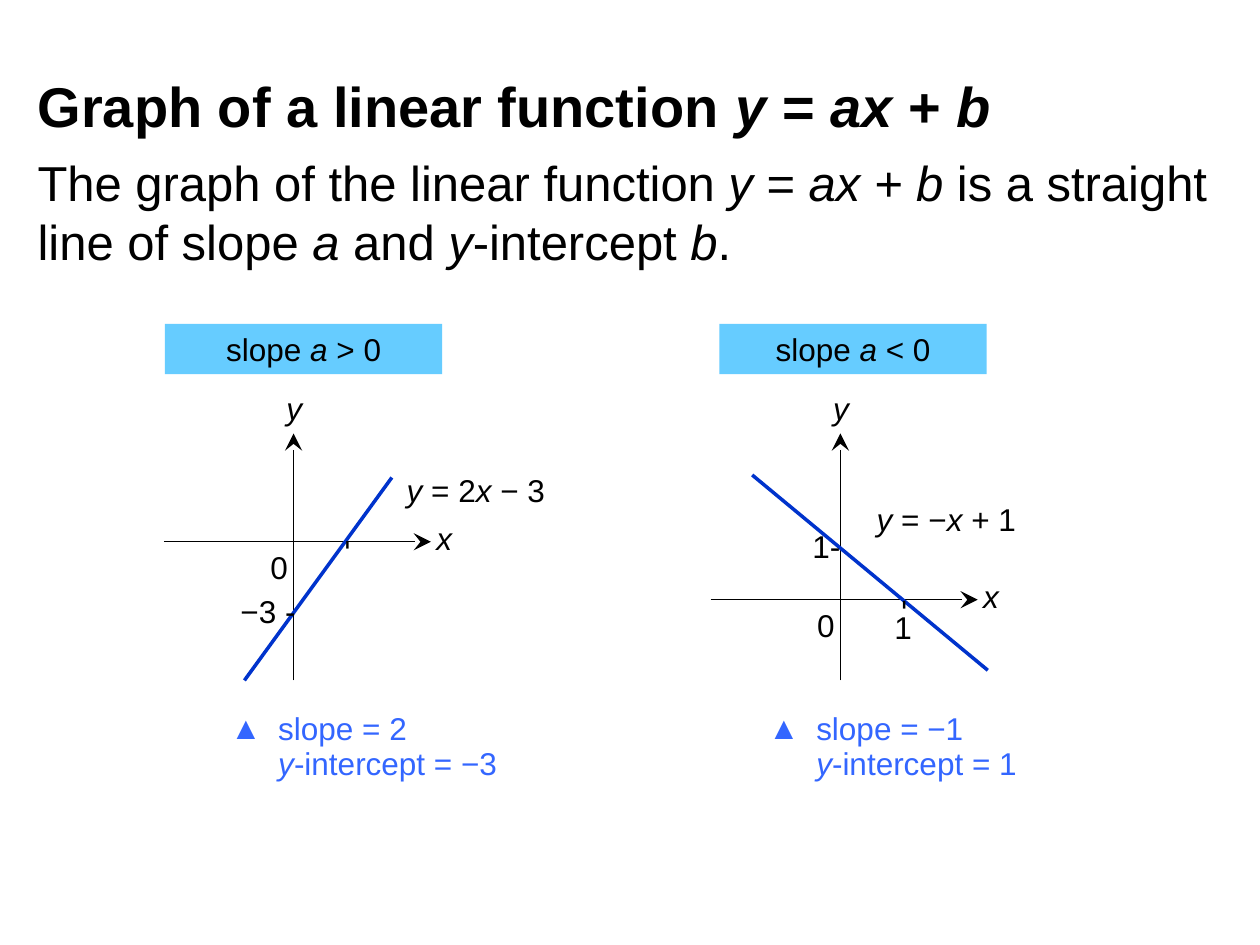
from lxml import etree
from pptx import Presentation
from pptx.dml.color import RGBColor
from pptx.enum import shapes, text
from pptx.oxml.ns import qn
from pptx.util import Inches, Pt

BLACK = RGBColor(0x00, 0x00, 0x00)
SKY = RGBColor(0x66, 0xCC, 0xFF)
GRAPH_BLUE = RGBColor(0x00, 0x33, 0xCC)
CAPTION_BLUE = RGBColor(0x33, 0x66, 0xFF)
FONT = "Arial"
LEFT, CENTER = text.PP_ALIGN.LEFT, text.PP_ALIGN.CENTER
LINE_HEIGHT = 0.4
AXIS_TOP, AXIS_BOTTOM = 3.44, 5.4
CAPTION_TOP, CAPTION_INDENT = 5.58, 0.38


def write(p, marked, size=18, color=BLACK, bold=False, align=LEFT):
    """Fill a paragraph; parts between asterisks are italic."""
    p.alignment = align
    for i, part in enumerate(marked.split("*")):
        if part:
            r = p.add_run()
            r.text = part
            r.font.name, r.font.size = FONT, Pt(size)
            r.font.bold, r.font.italic = bold, i % 2 == 1
            r.font.color.rgb = color


def add_text(slide, x, y, w, marked, h=LINE_HEIGHT, **style):
    sp = slide.shapes.add_textbox(Inches(x), Inches(y), Inches(w), Inches(h))
    sp.text_frame.word_wrap = True
    write(sp.text_frame.paragraphs[0], marked, **style)
    return sp


def add_heading(slide, x, w, marked):
    sp = slide.shapes.add_shape(shapes.MSO_SHAPE.RECTANGLE, Inches(x),
                                Inches(2.57), Inches(w), Inches(LINE_HEIGHT))
    sp.shadow.inherit = False
    sp.fill.solid()
    sp.fill.fore_color.rgb = SKY
    sp.line.fill.background()
    tf = sp.text_frame
    tf.word_wrap = True
    tf.vertical_anchor = text.MSO_ANCHOR.MIDDLE
    write(tf.paragraphs[0], marked, align=CENTER)


def add_line(slide, start, end, color, width, arrow=False):
    line = slide.shapes.add_connector(shapes.MSO_CONNECTOR.STRAIGHT,
                                      *map(Inches, start + end))
    line.line.color.rgb = color
    line.line.width = Pt(width)
    if arrow:
        ln = line.line._get_or_add_ln()
        etree.SubElement(ln, qn("a:tailEnd"), type="stealth", w="lg", len="lg")
    etree.SubElement(line._element.spPr, qn("a:effectLst"))


def add_tick(slide, x, y):
    """Mark the x-axis with an upright hyphen."""
    add_text(slide, x, y, 0.33, "-").rotation = 270


def add_axes(slide, x0, y0):
    add_line(slide, (x0, AXIS_BOTTOM), (x0, AXIS_TOP), BLACK, 0.75, arrow=True)
    add_line(slide, (x0 - 1.03, y0), (x0 + 1.09, y0), BLACK, 0.75, arrow=True)
    for x, y, label in ((x0 - 0.52, y0, "0"),
                        (x0 - 0.4, AXIS_TOP - LINE_HEIGHT, "*y*"),
                        (x0 + 0.79, y0 - 0.23, "*x*")):
        add_text(slide, x, y, 0.81, label, align=CENTER)


def add_caption(slide, x, slope, intercept):
    sp = add_text(slide, x, CAPTION_TOP, 2.35, slope, color=CAPTION_BLUE)
    pPr = sp.text_frame.paragraphs[0]._p.get_or_add_pPr()
    indent = Inches(CAPTION_INDENT)
    pPr.set("marL", str(indent))
    pPr.set("indent", str(-indent))
    etree.SubElement(pPr, qn("a:buFont"), typeface=FONT)
    etree.SubElement(pPr, qn("a:buChar"), char="▲")
    add_text(slide, x + CAPTION_INDENT, CAPTION_TOP + 0.28, 2.08, intercept,
             color=CAPTION_BLUE)


def add_rising_graph(slide):
    add_heading(slide, 1.31, 2.2, "slope* a* > 0")
    add_axes(slide, 2.33, 4.3)
    add_text(slide, 3.13, 3.69, 1.93, "*y *= 2*x* − 3")
    add_line(slide, (1.94, 5.4), (3.11, 3.79), GRAPH_BLUE, 2)
    add_text(slide, 1.81, 4.65, 0.83, "−3 -")
    add_tick(slide, 2.56, 4.1)
    add_caption(slide, 1.73, "slope = 2", "*y*-intercept = −3")


def add_falling_graph(slide):
    add_heading(slide, 5.71, 2.12, "slope *a* < 0")
    add_axes(slide, 6.67, 4.76)
    add_text(slide, 6.86, 3.92, 1.89, "*y *= −*x* + 1", h=0.71)
    add_line(slide, (5.97, 3.77), (7.84, 5.32), GRAPH_BLUE, 2)
    add_text(slide, 6.35, 4.13, 0.63, "1-")
    add_text(slide, 7, 4.78, 0.63, "1")
    add_tick(slide, 6.98, 4.58)
    add_caption(slide, 6, "slope = −1", "*y*-intercept = 1")


def main():
    prs = Presentation()
    prs.slide_width, prs.slide_height = Inches(10), Inches(7.5)
    slide = prs.slides.add_slide(prs.slide_layouts[6])
    add_text(slide, 0.2, 0.52, 8.82,
             "Graph of a linear function *y* = *ax *+ *b*",
             h=0.63, size=32, bold=True)
    add_text(slide, 0.2, 1.16, 9.56,
             "The graph of the linear function *y* = *ax + b* is a straight "
             "line of slope *a *and *y*-intercept *b*.", h=1.04, size=28)
    add_rising_graph(slide)
    add_falling_graph(slide)
    prs.save("out.pptx")


if __name__ == "__main__":
    main()
